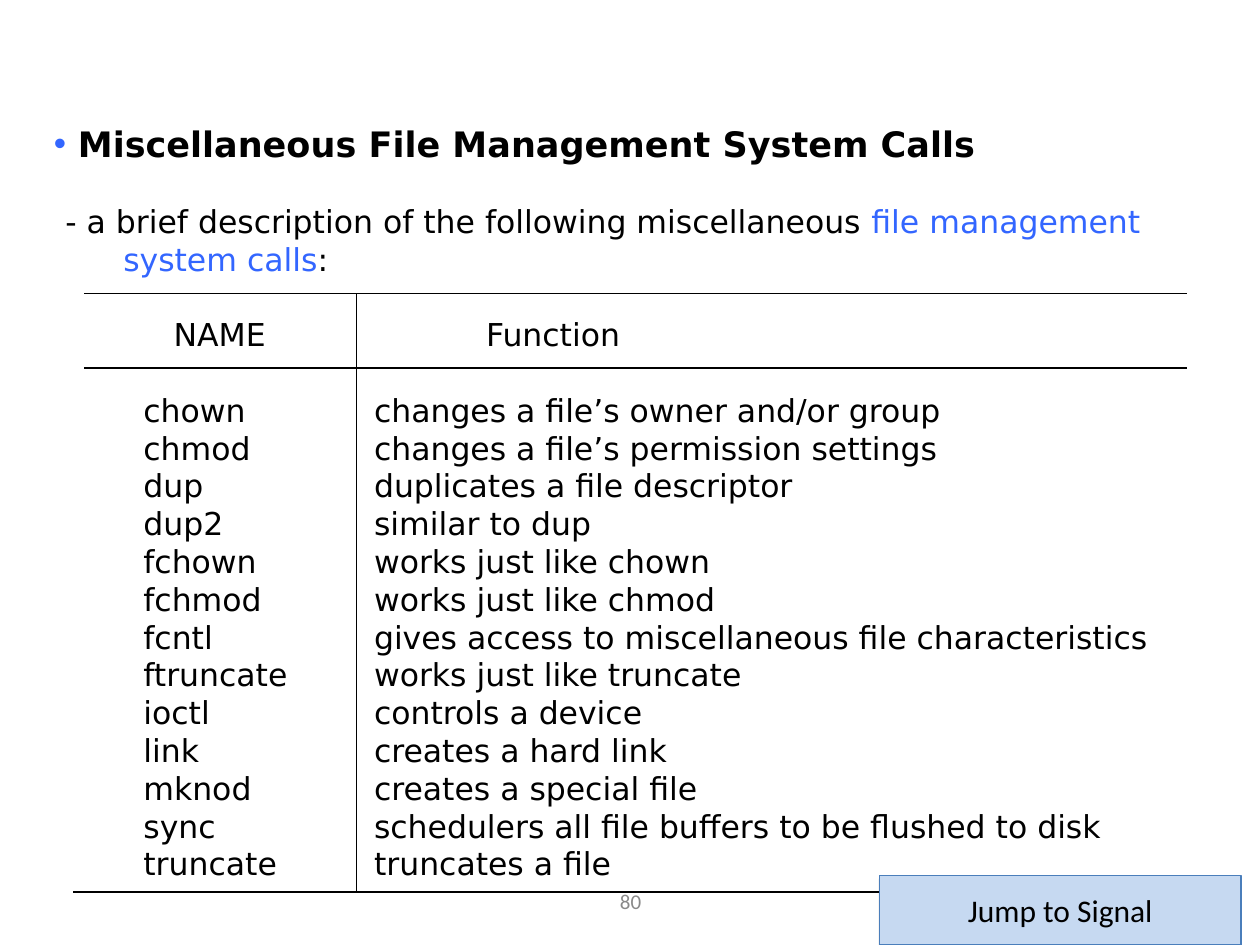
from lxml import etree
from pptx import Presentation
from pptx.dml.color import RGBColor
from pptx.enum import shapes, text
from pptx.oxml import parse_xml
from pptx.oxml.ns import nsdecls, qn
from pptx.util import Inches, Pt

COLORS = {"black": "000000", "blue": "3366FF", "gray": "898989",
          "button": "C6D9F1", "border": "4A7EBB"}
BODY, UI = "DejaVu Sans", "Calibri"
TITLE = "Miscellaneous File Management System Calls"
INTRO = [
    (0.09, [("- a brief description of the following miscellaneous ", "black"),
            ("file management", "blue")]),
    (0.55, [("system calls", "blue"), (":", "black")]),
]
HEADER = ("NAME", "Function")
CALLS = [
    ("chown", "changes a file’s owner and/or group"),
    ("chmod", "changes a file’s permission settings"),
    ("dup", "duplicates a file descriptor"),
    ("dup2", "similar to dup"),
    ("fchown", "works just like chown"),
    ("fchmod", "works just like chmod"),
    ("fcntl", "gives access to miscellaneous file characteristics"),
    ("ftruncate", "works just like truncate"),
    ("ioctl", "controls a device"),
    ("link", "creates a hard link"),
    ("mknod", "creates a special file"),
    ("sync", "schedulers all file buffers to be flushed to disk"),
    ("truncate", "truncates a file"),
]
HEADER_TABS, CALL_TABS = (0.95, 3.43), (0.71, 2.54)
RULES = [(0.67, 2.92, 9.42, 2.92), (0.67, 2.33, 9.42, 2.33),
         (0.58, 7.08, 9.33, 7.08), (2.83, 2.33, 2.83, 7.08)]
GAP = Pt(21.6)


def rgb(name):
    return RGBColor.from_string(COLORS[name])


def style(font, size, color="black", name=BODY, bold=False):
    font.size, font.name, font.bold = Pt(size), name, bold
    font.color.rgb = rgb(color)


def set_indent(p, left, first=0):
    pPr = p._p.get_or_add_pPr()
    pPr.set("marL", str(Inches(left)))
    pPr.set("indent", str(Inches(first)))
    return pPr


def add_bullet(p, char, color):
    pPr = set_indent(p, 0.19, -0.19)
    clr = etree.SubElement(pPr, qn("a:buClr"))
    etree.SubElement(clr, qn("a:srgbClr"), val=COLORS[color])
    etree.SubElement(pPr, qn("a:buFont"), typeface="Arial")
    etree.SubElement(pPr, qn("a:buChar"), char=char)


def add_row(tf, cells, tabs, gap):
    p = tf.add_paragraph()
    p.text = "".join("\t" + cell for cell in cells)
    if gap:
        p.space_before = GAP
    tab_list = etree.SubElement(p._p.get_or_add_pPr(), qn("a:tabLst"))
    for pos in tabs:
        etree.SubElement(tab_list, qn("a:tab"), pos=str(Inches(pos)), algn="l")
    style(p.runs[0].font, 18)


def center_label(sp, label, size, color):
    tf = sp.text_frame
    tf.word_wrap = True
    tf.vertical_anchor = text.MSO_ANCHOR.MIDDLE
    tf.text = label
    p = tf.paragraphs[0]
    p.alignment = text.PP_ALIGN.CENTER
    style(p.runs[0].font, size, color, UI)


prs = Presentation()
prs.slide_width, prs.slide_height = Inches(10), Inches(7.5)
s = prs.slides.add_slide(prs.slide_layouts[6])

number = s.shapes.add_textbox(Inches(3.42), Inches(6.95), Inches(3.17), Inches(0.4))
center_label(number, "80", 12, "gray")

body = s.shapes.add_textbox(Inches(0.33), Inches(0.92), Inches(9.51), Inches(6.14))
tf = body.text_frame
tf.word_wrap = True
tf.text = TITLE
title = tf.paragraphs[0]
add_bullet(title, "•", "blue")
style(title.runs[0].font, 20, bold=True)

for i, (left, parts) in enumerate(INTRO):
    p = tf.add_paragraph()
    set_indent(p, left)
    if i == 0:
        p.space_before = GAP
    for words, color in parts:
        r = p.add_run()
        r.text = words
        style(r.font, 18, color)

add_row(tf, HEADER, HEADER_TABS, True)
for i, call in enumerate(CALLS):
    add_row(tf, call, CALL_TABS, i == 0)

for ends in RULES:
    line = s.shapes.add_connector(shapes.MSO_CONNECTOR.STRAIGHT, *map(Inches, ends))
    line.line.color.rgb = rgb("black")
    line.line.width = Pt(0.75)
    etree.SubElement(line._element.spPr, qn("a:effectLst"))

button = s.shapes.add_shape(shapes.MSO_SHAPE.RECTANGLE,
                            Inches(6.98), Inches(6.95), Inches(2.87), Inches(0.55))
button.fill.solid()
button.fill.fore_color.rgb = rgb("button")
button.line.color.rgb = rgb("border")
button.line.width = Pt(0.75)
button._element.spPr.append(parse_xml(
    f'<a:effectLst {nsdecls("a")}><a:outerShdw dist="{Pt(1.8)}" dir="5400000">'
    f'<a:srgbClr val="{COLORS["black"]}"><a:alpha val="35000"/></a:srgbClr>'
    '</a:outerShdw></a:effectLst>'))
center_label(button, "Jump to Signal", 18, "black")

prs.save("out.pptx")
